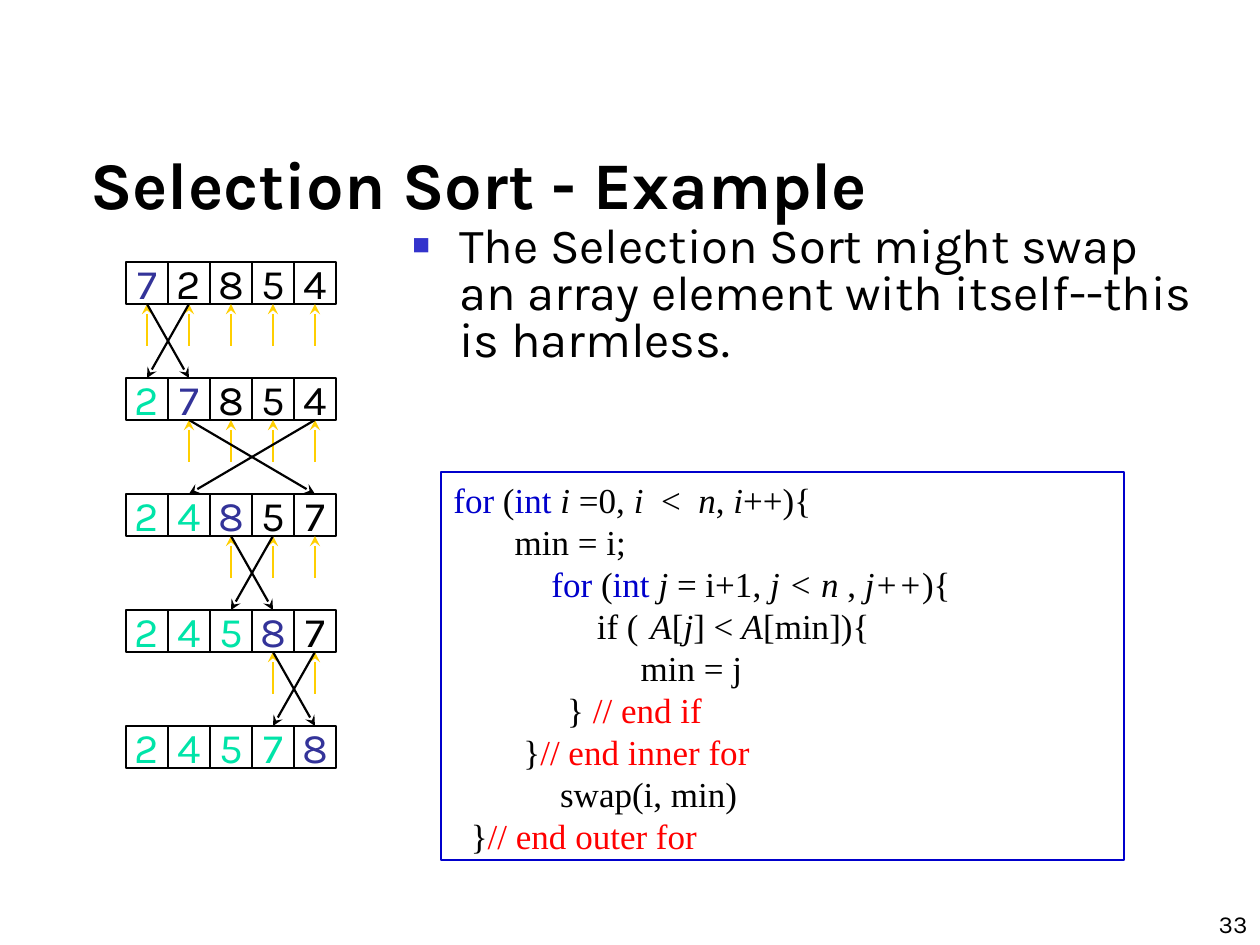
from lxml import etree
from pptx import Presentation
from pptx import util as u
from pptx.dml.color import RGBColor
from pptx.enum import shapes, text
from pptx.oxml.ns import qn

PX = 914400 // 126
BLACK = RGBColor(0x00, 0x00, 0x00)
CURRENT = RGBColor(0x33, 0x33, 0x99)
SORTED = RGBColor(0x00, 0xE4, 0xA8)
SCAN = RGBColor(0xFF, 0xCF, 0x01)
KEYWORD = RGBColor(0x00, 0x00, 0xCC)
COMMENT = RGBColor(0xFF, 0x00, 0x00)
BULLET = "3333CC"
SANS, SERIF = "Karla", "Times New Roman"

CELL = 42
ARRAY_LEFT, ARRAY_TOP, ROW_PITCH = 126, 262, 116
PASSES = ["72854", "27854", "24857", "24587", "24578"]
SWAPS = [(0, 1), (1, 4), (2, 3), (3, 4)]

# Each span is (text, style): k keyword, i italic variable, c comment
CODE = [
    [("for", "k"), (" (", ""), ("int ", "k"), ("i ", "i"), ("=0, ", ""),
     ("i  ", "i"), ("<  ", ""), ("n", "i"), (", ", ""), ("i", "i"), ("++){", "")],
    [("       min = i;", "")],
    [("\t    ", ""), ("for", "k"), (" (", ""), ("int ", "k"), ("j ", "i"),
     ("= i+1, ", ""), ("j < n ", "i"), (", ", ""), ("j++", "i"), ("){", "")],
    [("\t\t  if (\t", ""), (" A", "i"), ("[", ""), ("j", "i"), ("] <", ""),
     (" A", "i"), ("[min]){", "")],
    [("\t\t       min = j", "")],
    [("             } ", ""), ("// end if", "c")],
    [("        }", ""), ("// end inner for", "c")],
    [("\t     swap(i, min)", "")],
    [("  }", ""), ("// end outer for", "c")],
]
STYLE_COLORS = {"k": KEYWORD, "c": COMMENT}


def px(*lengths):
    return [u.Emu(length * PX) for length in lengths]


def set_font(font, name, size, color=BLACK, bold=False):
    font.name, font.size, font.bold = name, u.Pt(size), bold
    font.color.rgb = color


def add_text(page, bounds, words, size, anchor=text.MSO_ANCHOR.TOP,
             align=text.PP_ALIGN.LEFT, bold=False):
    box = page.shapes.add_textbox(*px(*bounds))
    frame = box.text_frame
    frame.word_wrap = True
    frame.vertical_anchor = anchor
    para = frame.paragraphs[0]
    para.text, para.alignment = words, align
    set_font(para.font, SANS, size, bold=bold)
    return frame


def add_bullet_text(page, bounds, words, size):
    frame = add_text(page, bounds, words, size)
    para = frame.paragraphs[0]
    para.line_spacing = 0.8
    props = para._p.get_or_add_pPr()
    props.set("marL", str(47 * PX))
    props.set("indent", str(-47 * PX))
    color = etree.Element(qn("a:buClr"))
    etree.SubElement(color, qn("a:srgbClr"), val=BULLET)
    marks = [color,
             etree.Element(qn("a:buSzPct"), val="60000"),
             etree.Element(qn("a:buFont"), typeface="Arial"),
             etree.Element(qn("a:buChar"), char="■")]
    defaults = props.find(qn("a:defRPr"))
    for mark in marks:
        defaults.addprevious(mark)


def add_outline(page, kind, bounds, color, width):
    """Add an unfilled shape with a plain outline."""
    box = page.shapes.add_shape(kind, *px(*bounds))
    box.shadow.inherit = False
    box.fill.background()
    box.line.color.rgb = color
    box.line.width = u.Pt(width)
    return box


def add_cell(page, row, column, digit):
    bounds = (ARRAY_LEFT + column * CELL, ARRAY_TOP + row * ROW_PITCH, CELL, CELL)
    cell = add_outline(page, shapes.MSO_SHAPE.FLOWCHART_PROCESS, bounds, BLACK, 1.5)
    frame = cell.text_frame
    frame.word_wrap = False
    frame.vertical_anchor = text.MSO_ANCHOR.MIDDLE
    para = frame.paragraphs[0]
    para.text, para.alignment = digit, text.PP_ALIGN.CENTER
    color = SORTED if column < row else CURRENT if column == row else BLACK
    set_font(para.font, SANS, 24, color)
    return cell


def add_arrow(page, color):
    arrow = page.shapes.add_connector(shapes.MSO_CONNECTOR.STRAIGHT, 0, 0, 0, 0)
    arrow.line.color.rgb = color
    arrow.line.width = u.Pt(1.25)
    etree.SubElement(arrow.line._get_or_add_ln(), qn("a:tailEnd"), type="stealth")
    etree.SubElement(arrow._element.spPr, qn("a:effectLst"))
    return arrow


def add_scan_arrow(page, cell):
    arrow = add_arrow(page, SCAN)
    arrow.begin_x = cell.left + cell.width // 2
    arrow.begin_y = cell.top + 2 * cell.height
    arrow.end_connect(cell, 2)


def add_swap_arrow(page, source, target):
    arrow = add_arrow(page, BLACK)
    arrow.begin_connect(source, 2)
    arrow.end_connect(target, 0)


def add_passes(page):
    """Draw the array after each pass, with the scanned cells and the swap."""
    rows = [[add_cell(page, row, column, digit) for column, digit in enumerate(digits)]
            for row, digits in enumerate(PASSES)]
    for row, (first, second) in enumerate(SWAPS):
        for cell in rows[row][row:]:
            add_scan_arrow(page, cell)
        add_swap_arrow(page, rows[row][first], rows[row + 1][second])
        add_swap_arrow(page, rows[row][second], rows[row + 1][first])


def add_code(page, bounds):
    box = add_outline(page, shapes.MSO_SHAPE.RECTANGLE, bounds, KEYWORD, 0.75)
    frame = box.text_frame
    frame.word_wrap = True
    frame.vertical_anchor = text.MSO_ANCHOR.TOP
    for number, spans in enumerate(CODE):
        para = frame.add_paragraph() if number else frame.paragraphs[0]
        para.alignment = text.PP_ALIGN.LEFT
        para.line_spacing = u.Pt(24)
        for words, style in spans:
            span = para.add_run()
            span.text = words
            set_font(span.font, SERIF, 20, STYLE_COLORS.get(style, BLACK))
            span.font.italic = style == "i"


def main():
    deck = Presentation()
    deck.slide_width, deck.slide_height = px(1260, 945)
    page = deck.slides.add_slide(deck.slide_layouts[6])
    add_bullet_text(page, (400, 220, 809, 672),
                    "The Selection Sort might swap an array element "
                    "with itself--this is harmless.", 28)
    add_passes(page)
    title = add_text(page, (84, 66, 998, 157), "Selection Sort - Example", 38,
                     text.MSO_ANCHOR.BOTTOM, bold=True)
    title.margin_left = title.margin_right = u.Inches(0.05)
    title.margin_top = title.margin_bottom = 0
    add_code(page, (441, 472, 683, 388))
    add_text(page, (998, 882, 262, 63), "33", 14,
             text.MSO_ANCHOR.BOTTOM, text.PP_ALIGN.RIGHT)
    deck.save("out.pptx")


if __name__ == "__main__":
    main()
